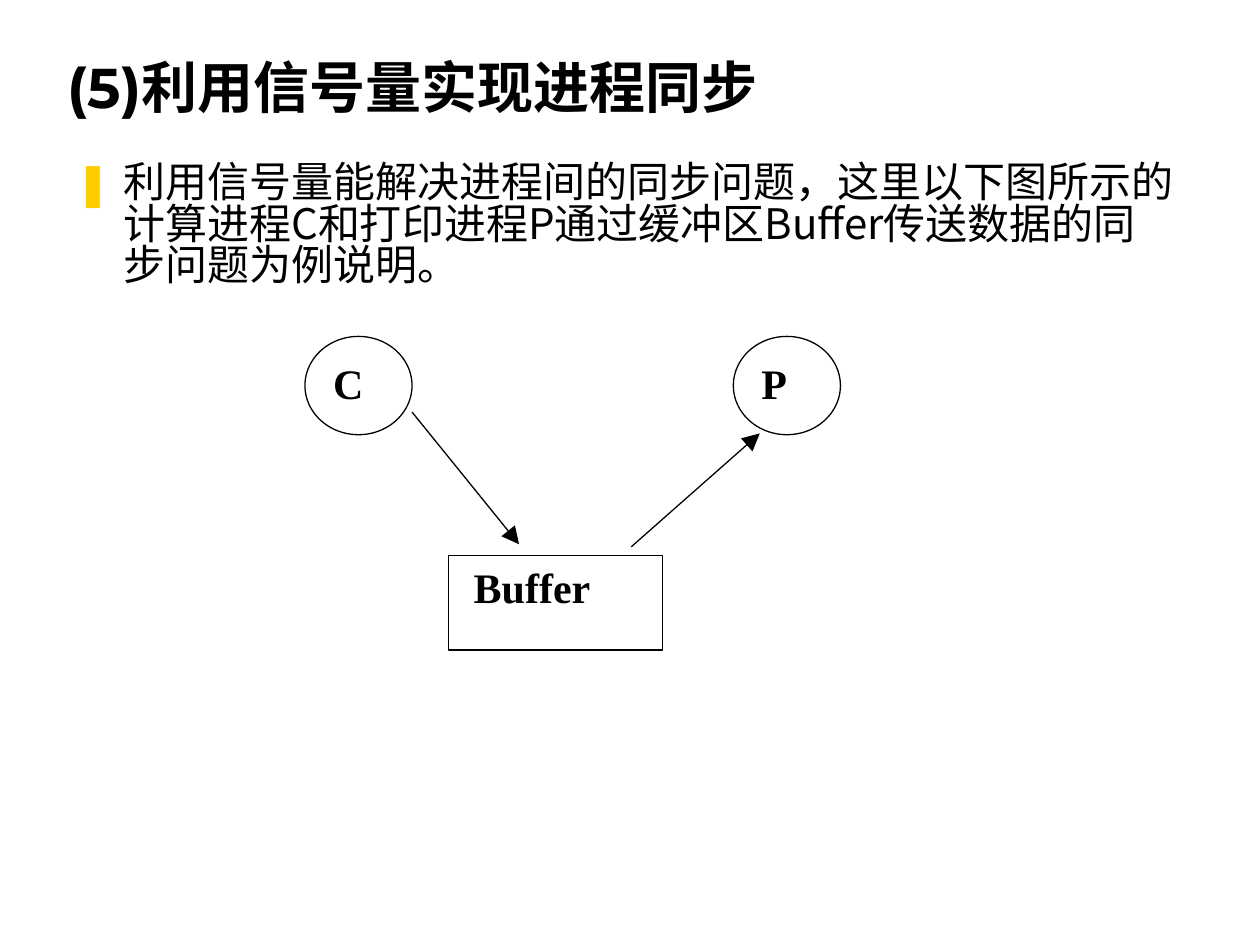
from dataclasses import dataclass

from lxml.etree import SubElement
from pptx import Presentation
from pptx.dml.color import RGBColor
from pptx.enum.shapes import MSO_CONNECTOR, MSO_SHAPE
from pptx.enum.text import MSO_ANCHOR, PP_ALIGN
from pptx.oxml.ns import qn
from pptx.util import Inches, Pt

COLORS = {"ink": "000000", "paper": "FFFFFF", "bullet": "FFCC00"}
CJK_FONT = "Noto Sans CJK SC"
SERIF_FONT = "Times New Roman"


@dataclass(frozen=True)
class Node:
    label: str
    outline: MSO_SHAPE
    left: float
    top: float
    width: float
    height: float
    indent: float = 0.1


@dataclass(frozen=True)
class Flow:
    start: tuple[float, float]
    end: tuple[float, float]


NODES = [
    Node("Buffer", MSO_SHAPE.RECTANGLE, 3.56, 4.41, 1.7, 0.75, indent=0.2),
    Node("C", MSO_SHAPE.OVAL, 2.42, 2.67, 0.85, 0.78),
    Node("P", MSO_SHAPE.OVAL, 5.82, 2.67, 0.85, 0.78),
]
FLOWS = [Flow((3.27, 3.27), (4.12, 4.32)), Flow((5.01, 4.34), (6.03, 3.44))]


def add_run(paragraph, text: str, *, size: float = 24, font: str = SERIF_FONT, bold: bool = False) -> None:
    """Append text to a paragraph with its format."""
    run = paragraph.add_run()
    run.text = text
    run.font.size = Pt(size)
    run.font.bold = bold
    run.font.name = font
    run.font.color.rgb = RGBColor.from_string(COLORS["ink"])
    SubElement(run.font._element, qn("a:ea"), typeface=CJK_FONT)


def add_text_frame(slide, left: float, top: float, width: float, height: float, anchor: MSO_ANCHOR):
    """Add a wrapping text box and return its text frame."""
    frame = slide.shapes.add_textbox(Inches(left), Inches(top), Inches(width), Inches(height)).text_frame
    frame.word_wrap = True
    frame.vertical_anchor = anchor
    return frame


def add_bullet(paragraph, indent: float) -> None:
    """Give a paragraph a coloured bullet with a hanging indent."""
    properties = paragraph._p.get_or_add_pPr()
    properties.set("marL", str(Inches(indent)))
    properties.set("indent", str(-Inches(indent)))
    bullet_color = SubElement(properties, qn("a:buClr"))
    SubElement(bullet_color, qn("a:srgbClr"), val=COLORS["bullet"])
    SubElement(properties, qn("a:buFont"), typeface=CJK_FONT)
    SubElement(properties, qn("a:buChar"), char="❚")


def draw_node(slide, node: Node) -> None:
    """Draw a process or the buffer with its label."""
    shape = slide.shapes.add_shape(
        node.outline, Inches(node.left), Inches(node.top), Inches(node.width), Inches(node.height)
    )
    shape.shadow.inherit = False
    shape.fill.solid()
    shape.fill.fore_color.rgb = RGBColor.from_string(COLORS["paper"])
    shape.line.color.rgb = RGBColor.from_string(COLORS["ink"])
    shape.line.width = Pt(0.75)
    frame = shape.text_frame
    frame.vertical_anchor = MSO_ANCHOR.TOP
    frame.margin_left = Inches(node.indent)
    frame.paragraphs[0].alignment = PP_ALIGN.JUSTIFY
    add_run(frame.paragraphs[0], node.label, bold=True)


def draw_flow(slide, flow: Flow) -> None:
    """Draw an arrow for the direction of the data."""
    (start_x, start_y), (end_x, end_y) = flow.start, flow.end
    arrow = slide.shapes.add_connector(
        MSO_CONNECTOR.STRAIGHT, Inches(start_x), Inches(start_y), Inches(end_x), Inches(end_y)
    )
    arrow.line.color.rgb = RGBColor.from_string(COLORS["ink"])
    arrow.line.width = Pt(0.75)
    SubElement(arrow.line._get_or_add_ln(), qn("a:tailEnd"), type="triangle", w="lg", len="lg")
    SubElement(arrow._element.spPr, qn("a:effectLst"))


def main() -> None:
    """Build and save the slide on process synchronisation."""
    presentation = Presentation()
    presentation.slide_width = Inches(10)
    presentation.slide_height = Inches(7.5)
    slide = presentation.slides.add_slide(presentation.slide_layouts[6])

    title = add_text_frame(slide, 0.44, 0.25, 8.5, 0.75, MSO_ANCHOR.BOTTOM).paragraphs[0]
    add_run(title, "(5)", size=32, font="Montserrat", bold=True)
    add_run(title, "利用信号量实现进程同步", size=32, bold=True)

    body = add_text_frame(slide, 0.5, 1.25, 8.94, 5.92, MSO_ANCHOR.TOP).paragraphs[0]
    body.space_before = Pt(6)
    body.line_spacing = 0.83
    add_bullet(body, 0.38)
    add_run(
        body,
        "利用信号量能解决进程间的同步问题，这里以下图所示的计算进程C和打印进程P"
        "通过缓冲区Buffer传送数据的同步问题为例说明。",
        font=CJK_FONT,
    )

    for node in NODES:
        draw_node(slide, node)
    for flow in FLOWS:
        draw_flow(slide, flow)

    presentation.save("out.pptx")


if __name__ == "__main__":
    main()
